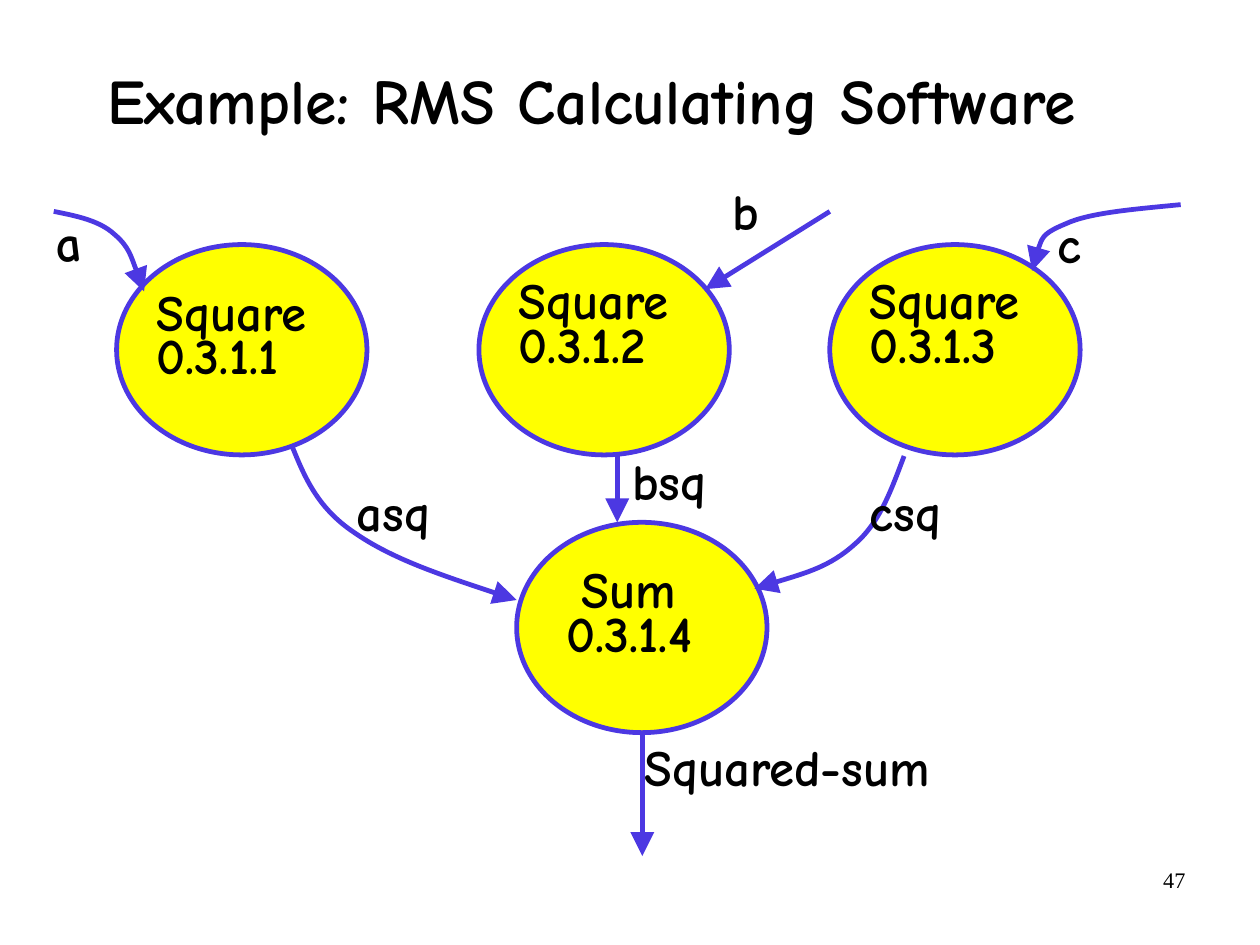
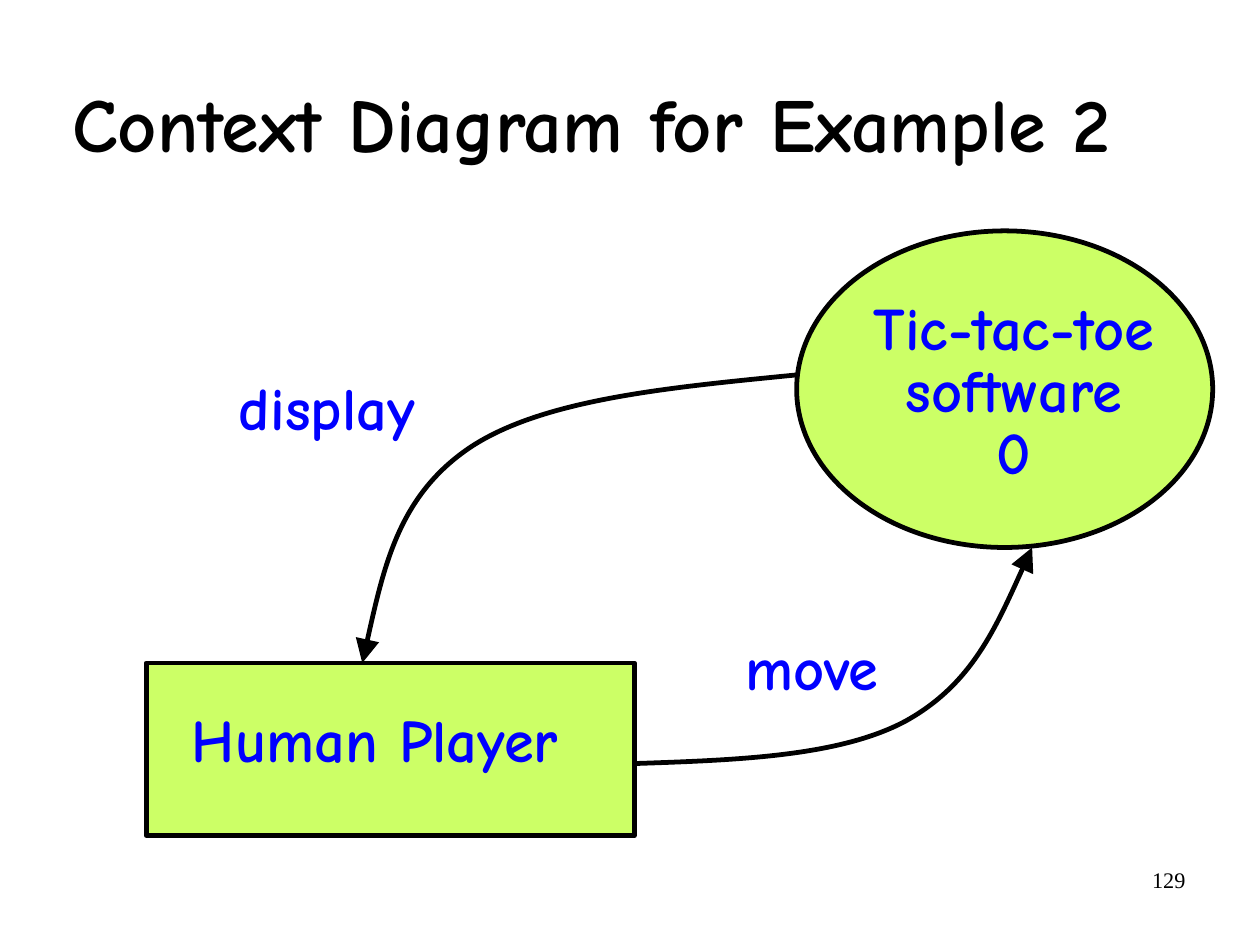
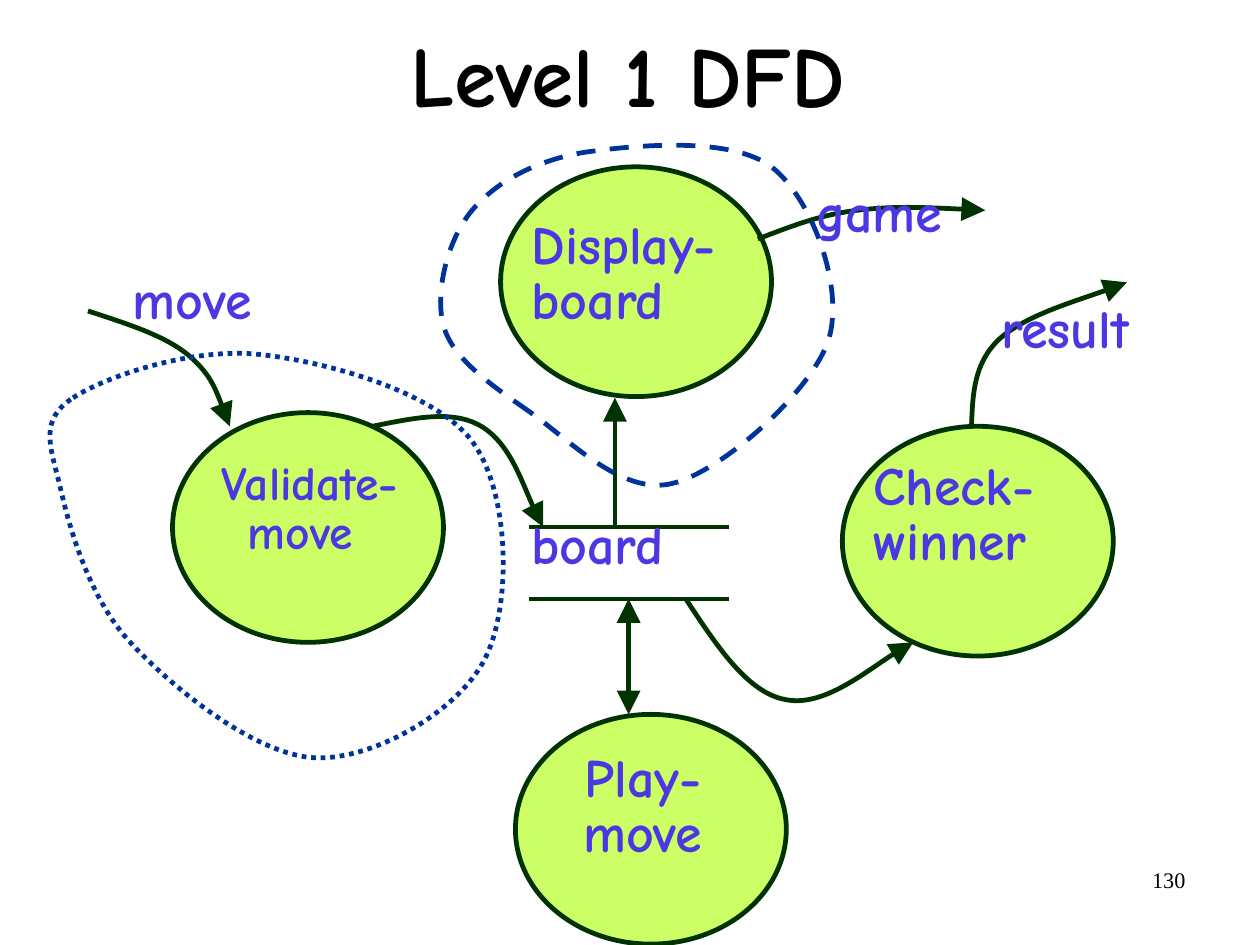
"""Build three data-flow diagram slides."""
from dataclasses import dataclass
from pptx import Presentation
from pptx.dml.color import RGBColor
from pptx.enum.dml import MSO_LINE
from pptx.enum.shapes import MSO_CONNECTOR, MSO_SHAPE
from pptx.enum.text import MSO_ANCHOR, PP_ALIGN
from pptx.oxml.ns import qn
from pptx.util import Inches, Pt
from lxml import etree

OVAL, RECT = MSO_SHAPE.OVAL, MSO_SHAPE.RECTANGLE
STRAIGHT = MSO_CONNECTOR.STRAIGHT
LEFT, CENTER, RIGHT = PP_ALIGN.LEFT, PP_ALIGN.CENTER, PP_ALIGN.RIGHT
TOP, MIDDLE = MSO_ANCHOR.TOP, MSO_ANCHOR.MIDDLE
DASH, DOT = MSO_LINE.DASH, MSO_LINE.ROUND_DOT
CM_PER_INCH = 2.54


@dataclass(frozen=True)
class Look:
    """Style of one diagram."""
    fill: str
    edge: str
    ink: str
    size: int
    spacing: float


class Theme:
    """Colours, fonts and sizes of the deck."""
    black, violet, blue, green = "000000", "4C38E2", "0000FF", "003300"
    yellow, lime, navy = "FFFF00", "CCFF66", "003399"
    font, number_font = "Comic Neue", "Times New Roman"
    number_size, small_label, line = 14, 30, 3
    title_spacing = 0.94
    arrow = {"type": "triangle", "w": "lg", "len": "lg"}
    rms = Look(yellow, violet, black, 32, 0.72)
    context = Look(lime, black, blue, 38, 0.85)
    level1 = Look(lime, green, violet, 34, 0.85)


class Deck:
    """Holds the style and the current slide."""

    def __init__(self, theme):
        self.theme = theme
        self.prs = Presentation()
        self.prs.slide_width = Inches(28 / CM_PER_INCH)
        self.prs.slide_height = Inches(21 / CM_PER_INCH)

    def slide(self, look, number, title, box, size):
        """Start a slide with its number and title."""
        t = self.theme
        self.look = look
        self.s = self.prs.slides.add_slide(self.prs.slide_layouts[6])
        self.text(str(number), (7.9, 7.53, 2.57, 0.57), t.number_size, RIGHT,
                  color=t.black, font=t.number_font, bold=False, spacing=1.0,
                  inset=(0.1, 0.05))
        self.text(title, box, size, CENTER, color=t.black,
                  spacing=t.title_spacing, anchor=MIDDLE)

    def text(self, text, box, size=None, align=LEFT, color=None, font=None,
             bold=True, spacing=None, anchor=TOP, inset=(0.02, 0.06), rotation=0,
             indent=0):
        """Add a text box of one paragraph."""
        sp = self.s.shapes.add_textbox(*map(Inches, box))
        sp.rotation = rotation
        tf = sp.text_frame
        dx, dy = map(Inches, inset)
        frame = {"word_wrap": True, "vertical_anchor": anchor, "margin_left": dx,
                 "margin_right": dx, "margin_top": dy, "margin_bottom": dy}
        for name, value in frame.items():
            setattr(tf, name, value)
        p = tf.paragraphs[0]
        p.text = text
        p.alignment = align
        p.line_spacing = spacing or self.look.spacing
        if indent:
            p._p.get_or_add_pPr().set("indent", str(Inches(indent)))
        style = {"name": font or self.theme.font, "bold": bold,
                 "size": Pt(size or self.look.size)}
        for r in p.runs:
            for name, value in style.items():
                setattr(r.font, name, value)
            r.font.color.rgb = RGBColor.from_string(color or self.look.ink)

    def stroke(self, sp, color=None, dash=None, ends=()):
        """Style the line of a shape and add arrowheads."""
        sp.line.color.rgb = RGBColor.from_string(color or self.look.edge)
        sp.line.width = Pt(self.theme.line)
        if dash:
            sp.line.dash_style = dash
        ln = sp._element.spPr.find(qn("a:ln"))
        for end in ends:
            etree.SubElement(ln, qn(f"a:{end}"), self.theme.arrow)

    def node(self, kind, box):
        """Add a filled process or entity."""
        sp = self.s.shapes.add_shape(kind, *map(Inches, box))
        sp.shadow.inherit = False
        sp.fill.solid()
        sp.fill.fore_color.rgb = RGBColor.from_string(self.look.fill)
        self.stroke(sp)

    def line(self, start, end, ends=("tailEnd",)):
        """Add a straight connector."""
        sp = self.s.shapes.add_connector(STRAIGHT, *map(Inches, start + end))
        self.stroke(sp, ends=ends)
        etree.SubElement(sp._element.spPr, qn("a:effectLst"))

    def curve(self, points, color=None, dash=None, ends=("tailEnd",)):
        """Add a chain of cubic curves through start, control and end points."""
        start, *rest = [tuple(map(Inches, point)) for point in points]
        fb = self.s.shapes.build_freeform(*start)
        fb.add_line_segments(rest, close=False)
        sp = fb.convert_to_shape()
        sp.shadow.inherit = False
        sp.fill.background()
        segments = list(sp._element.iter(qn("a:lnTo")))
        for i in range(0, len(segments), 3):
            bezier = etree.Element(qn("a:cubicBezTo"))
            segments[i].addprevious(bezier)
            for segment in segments[i:i + 3]:
                bezier.append(segment[0])
                segment.getparent().remove(segment)
        self.stroke(sp, color, dash, ends)


def rms_slide(d):
    """Square and sum processes."""
    d.slide(d.theme.rms, 47, "Example: RMS Calculating Software",
            (0.49, 0.19, 9.37, 1.42), 40)
    for x, y in ((1.02, 2.14), (4.19, 2.14), (7.26, 2.14), (4.52, 4.57)):
        d.node(OVAL, (x, y, 2.19, 1.84))
    for points in (
        ((0.47, 1.85), (0.67, 1.89), (0.87, 1.93), (1, 2.05),
         (1.13, 2.16), (1.19, 2.36), (1.26, 2.55)),
        ((10.33, 1.79), (9.93, 1.83), (9.53, 1.86), (9.32, 1.96),
         (9.1, 2.05), (9.06, 2.21), (9.03, 2.37)),
        ((2.55, 3.89), (2.66, 4.16), (2.77, 4.44), (3.1, 4.66),
         (3.43, 4.89), (3.97, 5.07), (4.52, 5.25)),
        ((7.91, 3.99), (7.8, 4.28), (7.7, 4.57), (7.48, 4.76),
         (7.26, 4.96), (6.93, 5.05), (6.6, 5.15)),
    ):
        d.curve(points)
    for start, end in (((7.26, 1.85), (6.17, 2.53)), ((5.4, 3.99), (5.4, 4.57)),
                       ((5.62, 6.42), (5.62, 7.49))):
        d.line(start, end)
    for i, (x, y) in enumerate(((1.35, 2.53), (4.52, 2.43), (7.59, 2.43)), 1):
        d.text(f"Square\n0.3.1.{i}", (x, y, 1.75, 1.04))
    d.text("Sum\n0.3.1.4", (4.63, 4.96, 1.75, 1.04), align=CENTER)
    d.text("a", (0.47, 1.85, 1.53, 0.67), rotation=353)
    for label, x, y in (("b", 6.39, 1.65), ("c", 9.23, 1.94), ("asq", 3.1, 4.28),
                        ("bsq", 5.51, 4.01), ("csq", 7.59, 4.28)):
        d.text(label, (x, y, 1.09, 0.58))
    d.text("Squared-sum", (5.62, 6.51, 3.94, 0.58))


def context_slide(d):
    """Player and software."""
    d.slide(d.theme.context, 129, "Context Diagram for Example 2",
            (0.49, 0.42, 9.37, 1.38), 48)
    d.node(OVAL, (6.97, 2.02, 3.64, 2.77))
    d.node(RECT, (1.28, 5.8, 4.27, 1.51))
    d.text("Human Player", (1.28, 6.18, 4.43, 0.75), indent=0.38)
    d.text("Tic-tac-toe software\n0", (7.13, 2.58, 3.48, 1.96), align=CENTER)
    d.curve(((6.97, 3.28), (5.86, 3.39), (4.76, 3.49), (4.12, 3.91),
             (3.49, 4.33), (3.33, 5.07), (3.17, 5.8)))
    d.curve(((5.55, 6.68), (6.44, 6.65), (7.34, 6.62), (7.92, 6.31),
             (8.5, 5.99), (8.76, 5.39), (9.03, 4.79)))
    d.text("display", (2.07, 3.28, 2.84, 0.75))
    d.text("move", (6.5, 5.55, 3.32, 0.75))


def level1_slide(d):
    """Processes around the board store."""
    t = d.theme
    d.slide(t.level1, 130, "Level 1 DFD", (0.79, 0, 9.4, 1.37), 54)
    for x, y in ((4.38, 1.46), (4.51, 6.25), (1.51, 3.61), (7.37, 3.73)):
        d.node(OVAL, (x, y, 2.37, 2.01))
    for y in (4.61, 5.24):
        d.line((4.63, y), (6.38, y), ends=())
    d.line((5.38, 4.61), (5.38, 3.48))
    d.line((5.5, 5.24), (5.5, 6.25), ends=("headEnd", "tailEnd"))
    for points in (
        ((6, 5.24), (6.27, 5.65), (6.54, 6.06), (6.87, 6.12),
         (7.2, 6.19), (7.81, 5.7), (7.99, 5.62)),
        ((3.26, 3.73), (3.61, 3.66), (3.96, 3.58), (4.21, 3.73),
         (4.46, 3.88), (4.66, 4.46), (4.75, 4.61)),
        ((0.77, 2.72), (1.1, 2.83), (1.43, 2.93), (1.64, 3.1),
         (1.84, 3.27), (1.93, 3.5), (2.01, 3.73)),
        ((8.5, 3.73), (8.51, 3.45), (8.52, 3.18), (8.74, 2.97),
         (8.97, 2.76), (9.68, 2.55), (9.86, 2.47)),
        ((6.63, 2.09), (6.9, 1.99), (7.16, 1.88), (7.5, 1.84),
         (7.83, 1.8), (8.22, 1.82), (8.62, 1.84)),
    ):
        d.curve(points)
    for label, x, y, align in (("Display-board", 4.63, 1.87, LEFT),
                               ("Check-winner", 7.62, 3.98, LEFT),
                               ("Play-move", 4.63, 6.53, CENTER)):
        d.text(label, (x, y, 1.99, 1.36), align=align)
    d.text("Validate-move", (1.51, 3.98, 2.24, 1.36), t.small_label, CENTER,
           indent=0.16)
    for label, x, y in (("board", 4.63, 4.49), ("move", 1.14, 2.35),
                        ("result", 8.74, 2.6), ("game", 7.12, 1.59)):
        d.text(label, (x, y, 1.74, 0.75))
    d.curve(((0.64, 3.48), (0.93, 3.29), (1.68, 3.04), (2.26, 3.1),
             (2.84, 3.16), (3.8, 3.42), (4.13, 3.86), (4.46, 4.3),
             (4.48, 5.28), (4.25, 5.75), (4.03, 6.21), (3.28, 6.65),
             (2.76, 6.63), (2.24, 6.61), (1.51, 6.02), (1.14, 5.62),
             (0.77, 5.22), (0.6, 4.59), (0.52, 4.23), (0.43, 3.88),
             (0.35, 3.67), (0.64, 3.48)), t.navy, DOT, ())
    d.curve(((4.63, 3.6), (4.3, 3.37), (3.96, 3.14), (3.88, 2.85),
             (3.8, 2.55), (3.92, 2.09), (4.13, 1.84), (4.34, 1.59),
             (4.69, 1.4), (5.13, 1.33), (5.56, 1.27), (6.39, 1.19),
             (6.75, 1.46), (7.1, 1.73), (7.39, 2.51), (7.25, 2.97),
             (7.1, 3.43), (6.31, 4.13), (5.88, 4.23), (5.44, 4.34),
             (4.96, 3.83), (4.63, 3.6)), t.navy, DASH, ())


def main():
    """Build and save the deck."""
    d = Deck(Theme())
    for build in (rms_slide, context_slide, level1_slide):
        build(d)
    d.prs.save("out.pptx")


if __name__ == "__main__":
    main()
